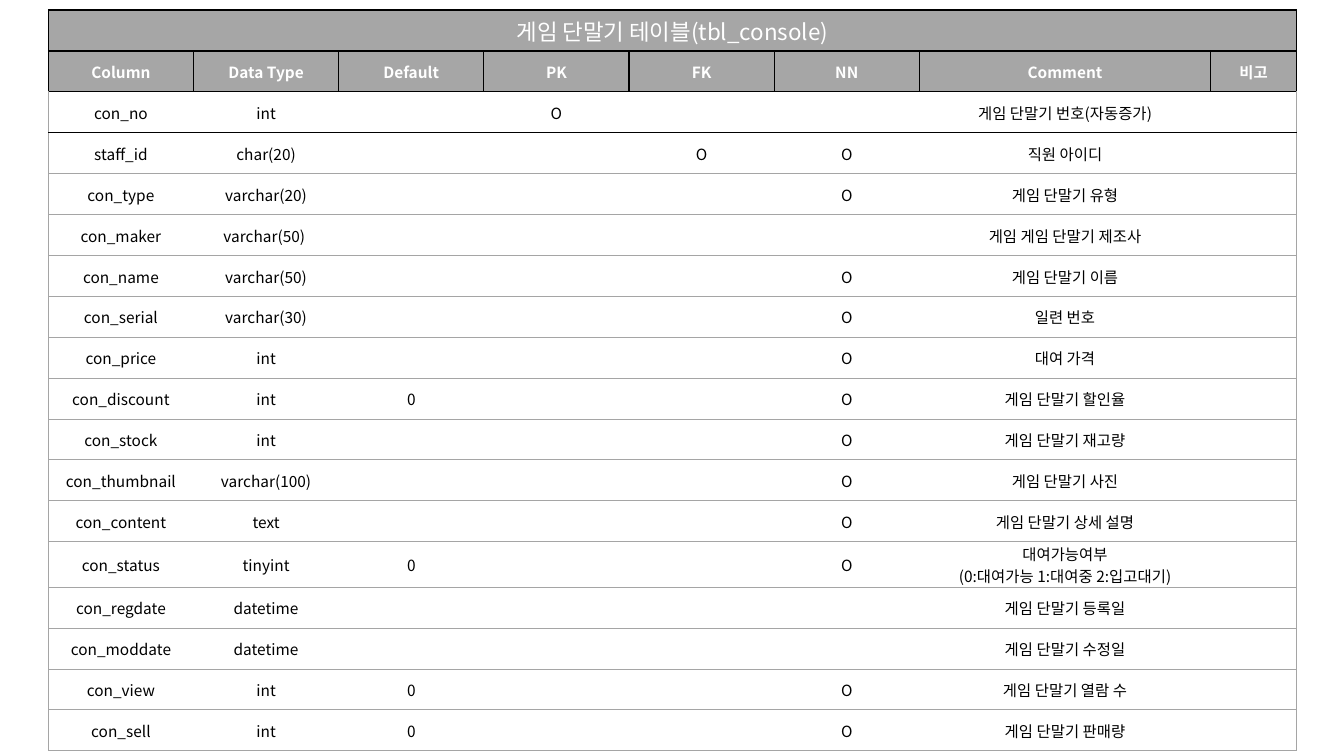
from lxml import etree
from pptx import Presentation
from pptx import util as u
from pptx.dml.color import RGBColor
from pptx.enum import text
from pptx.oxml import ns

COLORS = {"header": "A6A6A6", "rule": "A5A5A5", "frame": "000000",
          "ink": "000000", "light": "FFFFFF"}
FONT = "Noto Sans CJK KR"
SLIDE_W, SLIDE_H = 13.33, 7.5
LEFT, TOP, ROW_H = 0.48, 0.1, 7.3 / 18
COLUMN_W = [1.44] * 6 + [2.89, 0.85]

FRAME, RULE, NO_LINE = ("frame", 1), ("rule", 0.5), None

TITLE = "게임 단말기 테이블(tbl_console)"
HEADINGS = ["Column", "Data Type", "Default", "PK", "FK", "NN", "Comment", "비고"]
# Column, type, default, key and not-null flags, comment
FIELDS = [
    ("con_no", "int", "", "PK", "게임 단말기 번호(자동증가)"),
    ("staff_id", "char(20)", "", "FK NN", "직원 아이디"),
    ("con_type", "varchar(20)", "", "NN", "게임 단말기 유형"),
    ("con_maker", "varchar(50) ", "", "", "게임 게임 단말기 제조사"),
    ("con_name", "varchar(50)", "", "NN", "게임 단말기 이름"),
    ("con_serial", "varchar(30)", "", "NN", "일련 번호"),
    ("con_price", "int", "", "NN", "대여 가격"),
    ("con_discount", "int", "0", "NN", "게임 단말기 할인율"),
    ("con_stock", "int", "", "NN", "게임 단말기 재고량"),
    ("con_thumbnail", "varchar(100)", "", "NN", "게임 단말기 사진"),
    ("con_content", "text", "", "NN", "게임 단말기 상세 설명"),
    ("con_status", "tinyint", "0", "NN",
     "대여가능여부\n(0:대여가능 1:대여중 2:입고대기)"),
    ("con_regdate", "datetime", "", "", "게임 단말기 등록일"),
    ("con_moddate", "datetime", "", "", "게임 단말기 수정일"),
    ("con_view", "int", "0", "NN", "게임 단말기 열람 수"),
    ("con_sell", "int", "0", "NN", "게임 단말기 판매량"),
]


def rgb(name):
    return RGBColor.from_string(COLORS[name])


def set_borders(cell, left, right, top, bottom):
    """Draw the four sides; they come before the fill in the cell's XML."""
    props = cell._tc.get_or_add_tcPr()
    sides = {"lnL": left, "lnR": right, "lnT": top, "lnB": bottom}
    for position, (tag, style) in enumerate(sides.items()):
        line = etree.Element(ns.qn(f"a:{tag}"))
        if style is NO_LINE:
            etree.SubElement(line, ns.qn("a:noFill"))
        else:
            color, width = style
            line.set("w", str(u.Pt(width)))
            fill = etree.SubElement(line, ns.qn("a:solidFill"))
            etree.SubElement(fill, ns.qn("a:srgbClr"), val=COLORS[color])
        props.insert(position, line)


def write_cell(cell, words, size=11, color="ink", bold=False, fill=None):
    cell.vertical_anchor = text.MSO_ANCHOR.MIDDLE
    cell.margin_left = cell.margin_right = cell.margin_top = u.Inches(0.01)
    cell.margin_bottom = 0
    if fill:
        cell.fill.solid()
        cell.fill.fore_color.rgb = rgb(fill)
    else:
        cell.fill.background()

    paragraph = cell.text_frame.paragraphs[0]
    paragraph.alignment = text.PP_ALIGN.CENTER
    font = paragraph.font
    font.size, font.bold, font.name = u.Pt(size), bold, FONT
    font.color.rgb = rgb(color)
    defaults = paragraph._p.pPr.find(ns.qn("a:defRPr"))
    etree.SubElement(defaults, ns.qn("a:ea"), typeface=FONT)
    if words:
        paragraph.text = words
    else:
        # Keeps an empty cell as low as its row
        etree.SubElement(paragraph._p, ns.qn("a:endParaRPr"), sz=str(size * 100))


def add_title_row(table):
    table.cell(0, 0).merge(table.cell(0, len(HEADINGS) - 1))
    for col in range(len(HEADINGS)):
        cell = table.cell(0, col)
        write_cell(cell, "" if col else TITLE, 16, "light", fill="header")
        set_borders(cell, FRAME, FRAME, FRAME, FRAME)


def add_heading_row(table):
    for col, heading in enumerate(HEADINGS):
        cell = table.cell(1, col)
        write_cell(cell, heading, color="light", bold=True, fill="header")
        set_borders(cell, FRAME, FRAME, FRAME, FRAME)


def add_field_row(table, row, field):
    name, data_type, default, flags, comment = field
    marks = ["O" if flag in flags.split() else "" for flag in ("PK", "FK", "NN")]
    values = [name, data_type, default, *marks, comment, ""]
    # The first field is the primary key and is framed in black
    top = FRAME if row <= 3 else RULE
    bottom = FRAME if row == 2 else RULE
    for col, value in enumerate(values):
        cell = table.cell(row, col)
        write_cell(cell, value)
        set_borders(cell, RULE if col == 0 else NO_LINE,
                    RULE if col == len(values) - 1 else NO_LINE, top, bottom)


def add_schema_table(slide):
    rows = len(FIELDS) + 2
    table = slide.shapes.add_table(
        rows, len(COLUMN_W), u.Inches(LEFT), u.Inches(TOP),
        u.Inches(sum(COLUMN_W)), u.Inches(ROW_H * rows)).table
    table.first_row = table.horz_banding = False
    for column, width in zip(table.columns, COLUMN_W):
        column.width = u.Inches(width)
    for table_row in table.rows:
        table_row.height = u.Inches(ROW_H)
    return table


def main():
    deck = Presentation()
    deck.slide_width, deck.slide_height = u.Inches(SLIDE_W), u.Inches(SLIDE_H)
    slide = deck.slides.add_slide(deck.slide_layouts[6])

    table = add_schema_table(slide)
    add_title_row(table)
    add_heading_row(table)
    for row, field in enumerate(FIELDS, start=2):
        add_field_row(table, row, field)

    deck.save("out.pptx")


if __name__ == "__main__":
    main()
